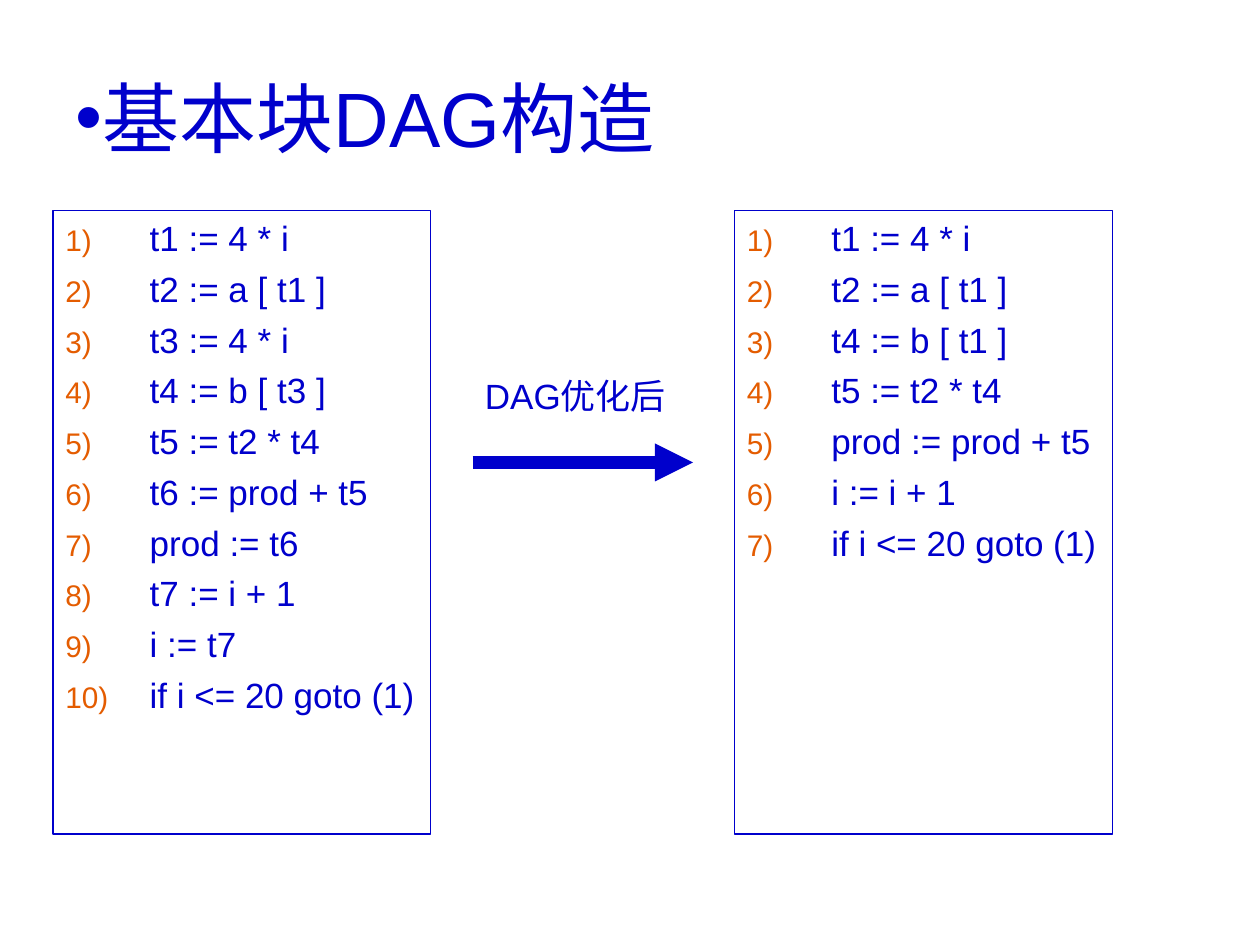
from lxml import etree
from pptx import Presentation
from pptx.dml.color import RGBColor
from pptx.enum.shapes import MSO_CONNECTOR, MSO_SHAPE
from pptx.enum.text import MSO_ANCHOR, PP_ALIGN
from pptx.oxml.ns import qn
from pptx.util import Inches, Pt

COLORS = {"blue": "0000CC", "orange": "E45C00"}
FONT = "Arial"
HANGING = Inches(0.67)
ORIGINAL_CODE = [
    "t1 := 4 * i",
    "t2 := a [ t1 ]",
    "t3 := 4 * i",
    "t4 := b [ t3 ]",
    "t5 := t2 * t4",
    "t6 := prod + t5",
    "prod := t6",
    "t7 := i + 1",
    "i := t7",
    "if i <= 20 goto (1)",
]
OPTIMIZED_CODE = [
    "t1 := 4 * i",
    "t2 := a [ t1 ]",
    "t4 := b [ t1 ]",
    "t5 := t2 * t4",
    "prod := prod + t5",
    "i := i + 1",
    "if i <= 20 goto (1)",
]


def color(name):
    return RGBColor.from_string(COLORS[name])


def add_run(paragraph, text, size):
    run = paragraph.add_run()
    run.text = text
    run.font.name = FONT
    run.font.size = Pt(size)
    run.font.color.rgb = color("blue")


def set_indent(paragraph, left, first_line):
    properties = paragraph._p.get_or_add_pPr()
    properties.set("marL", str(left))
    properties.set("indent", str(first_line))


def add_bullet(paragraph, color_name, percent, kind, **attributes):
    """Append the bullet settings; call after the paragraph spacing is set."""
    properties = paragraph._p.get_or_add_pPr()
    bullet_color = etree.SubElement(properties, qn("a:buClr"))
    etree.SubElement(bullet_color, qn("a:srgbClr"), val=COLORS[color_name])
    etree.SubElement(properties, qn("a:buSzPct"), val=str(percent * 1000))
    etree.SubElement(properties, qn("a:buFont"), typeface=FONT)
    etree.SubElement(properties, qn(kind), **attributes)


def set_title(slide, text):
    title = slide.shapes.title
    title.left, title.top = Inches(0.5), Inches(0.3)
    title.width, title.height = Inches(9), Inches(1.25)
    title.text_frame.vertical_anchor = MSO_ANCHOR.MIDDLE
    paragraph = title.text_frame.paragraphs[0]
    paragraph.alignment = PP_ALIGN.LEFT
    set_indent(paragraph, 0, 0)
    add_bullet(paragraph, "blue", 100, "a:buChar", char="•")
    add_run(paragraph, text, 44)


def add_code_box(slide, left, statements):
    box = slide.shapes.add_shape(
        MSO_SHAPE.RECTANGLE, left, Inches(1.67), Inches(3), Inches(4.95)
    )
    box.shadow.inherit = False
    box.fill.background()
    box.line.color.rgb = color("blue")
    box.line.width = Pt(0.75)
    frame = box.text_frame
    frame.word_wrap = True
    frame.vertical_anchor = MSO_ANCHOR.TOP
    for index, statement in enumerate(statements):
        paragraph = frame.add_paragraph() if index else frame.paragraphs[0]
        paragraph.alignment = PP_ALIGN.LEFT
        paragraph.space_before = Pt(5)
        set_indent(paragraph, HANGING, -HANGING)
        add_bullet(paragraph, "orange", 85, "a:buAutoNum", type="arabicParenR")
        add_run(paragraph, statement, 20)


def add_arrow(slide, left, right, y):
    arrow = slide.shapes.add_connector(MSO_CONNECTOR.STRAIGHT, left, y, right, y)
    arrow.line.color.rgb = color("blue")
    arrow.line.width = Pt(7.25)
    etree.SubElement(arrow.line._get_or_add_ln(), qn("a:tailEnd"), type="triangle")
    etree.SubElement(arrow._element.spPr, qn("a:effectLst"))


def add_label(slide, text):
    label = slide.shapes.add_textbox(
        Inches(3.75), Inches(2.92), Inches(1.67), Inches(0.77)
    )
    label.text_frame.word_wrap = True
    paragraph = label.text_frame.paragraphs[0]
    paragraph.space_before = Pt(12.5)
    set_indent(paragraph, HANGING, -HANGING)
    add_run(paragraph, text, 20)


def main():
    presentation = Presentation()
    presentation.slide_width = Inches(10)
    presentation.slide_height = Inches(7.5)
    slide = presentation.slides.add_slide(presentation.slide_layouts[5])
    set_title(slide, "基本块DAG构造")
    add_code_box(slide, Inches(0.42), ORIGINAL_CODE)
    add_code_box(slide, Inches(5.83), OPTIMIZED_CODE)
    add_arrow(slide, Inches(3.75), Inches(5.5), Inches(3.67))
    add_label(slide, "DAG优化后")
    presentation.save("out.pptx")


if __name__ == "__main__":
    main()
